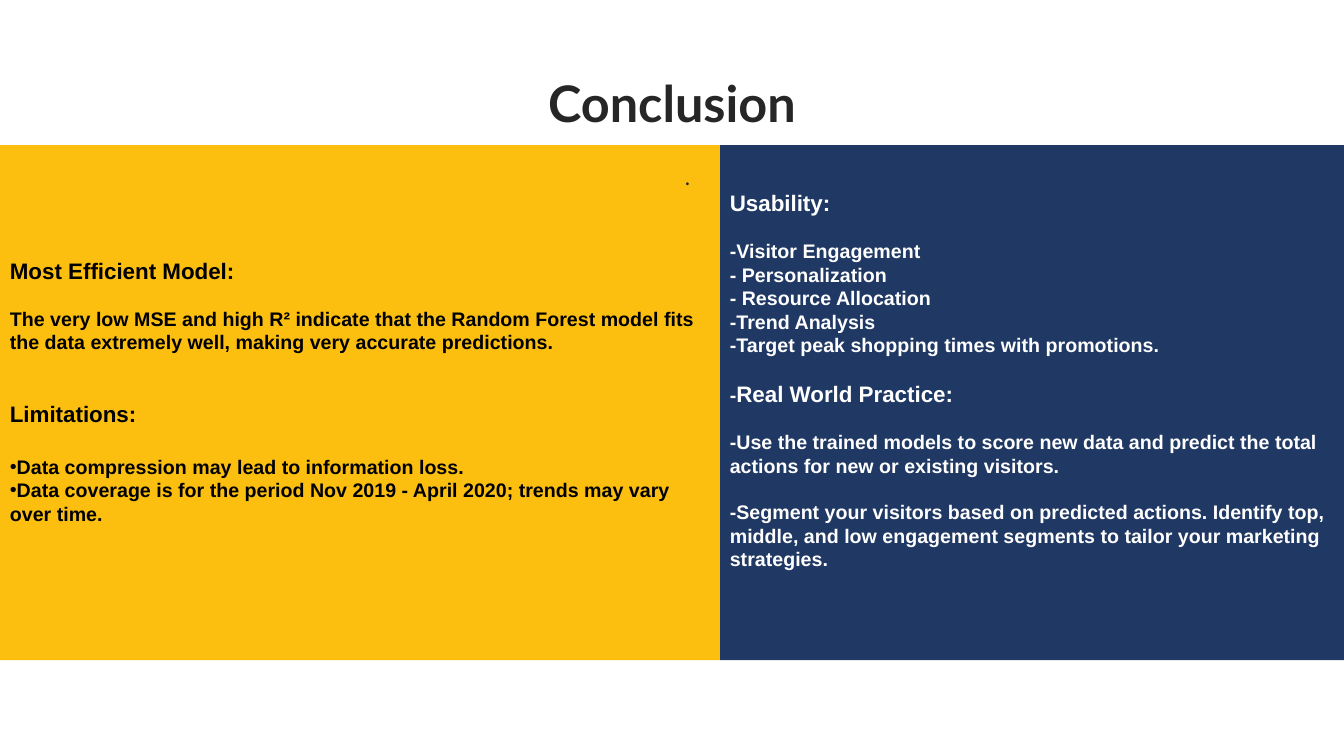
from dataclasses import dataclass

from lxml.etree import SubElement
from pptx import Presentation
from pptx.dml.color import RGBColor
from pptx.enum.shapes import MSO_SHAPE
from pptx.enum.text import MSO_ANCHOR, PP_ALIGN
from pptx.oxml.ns import qn
from pptx.util import Inches, Pt


@dataclass(frozen=True)
class Theme:
    """Colours, fonts and type sizes of the slide."""
    yellow: str = "FCBF10"
    navy: str = "203864"
    black: str = "000000"
    white: str = "FFFFFF"
    ink: str = "262626"
    body_font: str = "Arial"
    title_font: str = "Lato"
    title_size: int = 36
    heading_size: int = 16
    body_size: int = 14
    gap: float = 16.5


def write(para, text, *, size, font, color, bold=True):
    """Add a formatted span to a paragraph."""
    span = para.add_run()
    span.text = text
    span.font.size = Pt(size)
    span.font.name = font
    span.font.bold = bold
    span.font.color.rgb = RGBColor.from_string(color)


class SlideBuilder:
    """Draws styled elements on one page."""

    def __init__(self, page, theme):
        """Keep the page and its theme."""
        self.page = page
        self.theme = theme

    def caption(self, text, left, top, width, height, *, size, bold, spacing=1.0):
        """Draw a centred line of text."""
        box = self.page.shapes.add_textbox(Inches(left), Inches(top), Inches(width), Inches(height))
        box.text_frame.word_wrap = True
        para = box.text_frame.paragraphs[0]
        para.alignment = PP_ALIGN.CENTER
        para.line_spacing = spacing
        write(para, text, size=size, font=self.theme.title_font, color=self.theme.ink, bold=bold)

    def panel(self, left, width, lines, *, fill, color, bottom):
        """Draw a coloured panel of (kind, gap lines, text) paragraphs."""
        box = self.page.shapes.add_shape(
            MSO_SHAPE.RECTANGLE, Inches(left), Inches(1.44), Inches(width), Inches(5.11))
        box.shadow.inherit = False
        box.fill.solid()
        box.fill.fore_color.rgb = RGBColor.from_string(fill)
        box.line.fill.background()
        frame = box.text_frame
        frame.word_wrap = True
        frame.vertical_anchor = MSO_ANCHOR.MIDDLE
        frame.margin_bottom = Inches(bottom)
        for index, (kind, gaps, text) in enumerate(lines):
            para = frame.paragraphs[0] if index == 0 else frame.add_paragraph()
            para.alignment = PP_ALIGN.LEFT
            para.space_before = Pt(gaps * self.theme.gap)
            if kind == "bullet":
                self.bullet(para)
            look = {"font": self.theme.body_font, "color": color}
            if kind == "dashed heading":
                write(para, "-", size=self.theme.body_size, **look)
            heading = kind.endswith("heading")
            size = self.theme.heading_size if heading else self.theme.body_size
            write(para, text, size=size, **look)

    def bullet(self, para):
        """Give a paragraph a bullet without indent."""
        properties = para._p.get_or_add_pPr()
        properties.set("marL", "0")
        properties.set("indent", "0")
        SubElement(properties, qn("a:buFont"), typeface=self.theme.body_font)
        SubElement(properties, qn("a:buChar"), char="•")


USABILITY = [
    ("heading", 0, "Usability:"),
    ("body", 1, "-Visitor Engagement"),
    ("body", 0, "- Personalization"),
    ("body", 0, "- Resource Allocation"),
    ("body", 0, "-Trend Analysis"),
    ("body", 0, "-Target peak shopping times with promotions."),
    ("dashed heading", 1, "Real World Practice:"),
    ("body", 1, "-Use the trained models to score new data and predict the total actions "
                "for new or existing visitors."),
    ("body", 1, "-Segment your visitors based on predicted actions. Identify top, middle, "
                "and low engagement segments to tailor your marketing strategies."),
]
FINDINGS = [
    ("heading", 0, "Most Efficient Model:"),
    ("body", 1, "The very low MSE and high R² indicate that the Random Forest model fits "
                "the data extremely well, making very accurate predictions."),
    ("heading", 2, "Limitations:"),
    ("bullet", 1.2, "Data compression may lead to information loss."),
    ("bullet", 0, "Data coverage is for the period Nov 2019 - April 2020; trends may vary "
                  "over time."),
]


def main():
    """Build and save the conclusion slide."""
    theme = Theme()
    deck = Presentation()
    deck.slide_width, deck.slide_height = Inches(13.33), Inches(7.5)
    builder = SlideBuilder(deck.slides.add_slide(deck.slide_layouts[6]), theme)
    builder.panel(7.14, 6.19, USABILITY, fill=theme.navy, color=theme.white, bottom=0.5)
    builder.panel(0, 7.14, FINDINGS, fill=theme.yellow, color=theme.black, bottom=0.28)
    builder.caption("Conclusion", 1.29, 0.67, 10.75, 0.19, size=theme.title_size, bold=True)
    builder.caption(".", 2.19, 1.44, 9.26, 0.12, size=theme.heading_size, bold=False, spacing=1.5)
    deck.save("out.pptx")


if __name__ == "__main__":
    main()
